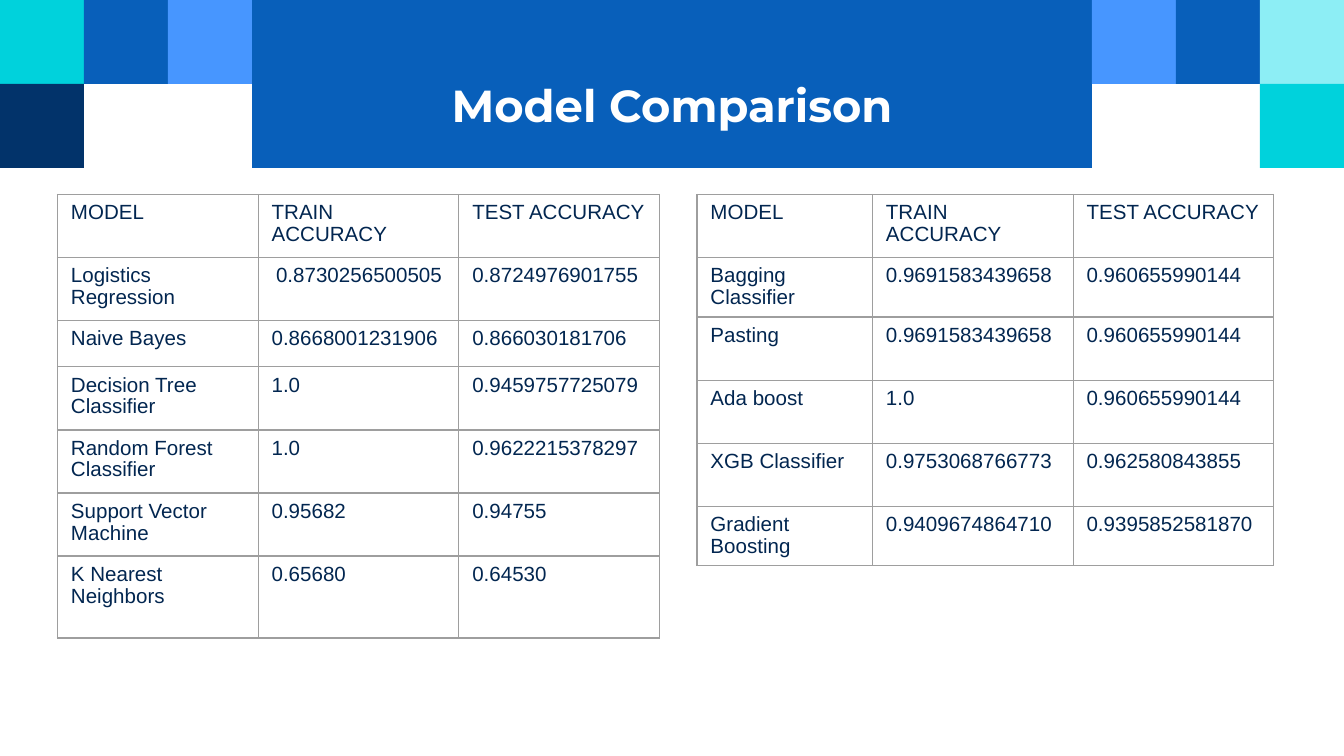
from lxml.etree import SubElement
from pptx import Presentation
from pptx.dml.color import RGBColor
from pptx.enum.shapes import MSO_SHAPE
from pptx.enum.text import MSO_ANCHOR, PP_ALIGN
from pptx.oxml.ns import qn
from pptx.util import Pt

SQUARE = 45
BLUE, LIGHT_BLUE, NAVY = "085FBA", "4796FF", "02336A"
TEAL, PALE_TEAL = "00D2DC", "8DEEF5"
WHITE, TEXT, BORDER = "FFFFFF", "022650", "9E9E9E"

SQUARES = [
    (0, 0, TEAL), (1, 0, BLUE), (2, 0, LIGHT_BLUE), (0, 1, NAVY),
    (13, 0, LIGHT_BLUE), (14, 0, BLUE), (15, 0, PALE_TEAL), (15, 1, TEAL),
]
HEADINGS = ("MODEL", "TRAIN ACCURACY", "TEST ACCURACY")
SINGLE_MODELS = [
    HEADINGS,
    ("Logistics Regression", "0.8730256500505", "0.8724976901755"),
    ("Naive Bayes", "0.8668001231906", "0.866030181706"),
    ("Decision Tree Classifier", "1.0", "0.9459757725079"),
    ("Random Forest Classifier", "1.0", "0.9622215378297"),
    ("Support Vector Machine", "0.95682", "0.94755"),
    ("K Nearest Neighbors", "0.65680", "0.64530"),
]
ENSEMBLE_MODELS = [
    HEADINGS,
    ("Bagging Classifier", "0.9691583439658", "0.960655990144"),
    ("Pasting", "0.9691583439658", "0.960655990144"),
    ("Ada boost", "1.0", "0.960655990144"),
    ("XGB Classifier", "0.9753068766773", "0.962580843855"),
    ("Gradient Boosting", "0.9409674864710", "0.9395852581870"),
]


def color(value):
    return RGBColor.from_string(value)


def fill(target, value):
    target.fill.solid()
    target.fill.fore_color.rgb = color(value)


def format_runs(paragraph, name, size, value, bold=False):
    for run in paragraph.runs:
        run.font.name = name
        run.font.size = Pt(size)
        run.font.bold = bold
        run.font.color.rgb = color(value)


def add_squares(slide, left, top, size):
    for column, row, value in SQUARES:
        shape = slide.shapes.add_shape(
            MSO_SHAPE.RECTANGLE, Pt(left + column * size), Pt(top + row * size),
            Pt(size), Pt(size))
        shape.shadow.inherit = False
        fill(shape, value)
        shape.line.fill.background()


def place_title(slide, text, left, top, width, height):
    title = slide.shapes.title
    title.left, title.top = Pt(left), Pt(top)
    title.width, title.height = Pt(width), Pt(height)
    fill(title, BLUE)
    frame = title.text_frame
    frame.text = text
    frame.vertical_anchor = MSO_ANCHOR.MIDDLE
    frame.margin_top, frame.margin_bottom = Pt(21.6), Pt(0)
    paragraph = frame.paragraphs[0]
    paragraph.alignment = PP_ALIGN.CENTER
    paragraph.space_before = Pt(1)
    format_runs(paragraph, "Montserrat", 24, WHITE, bold=True)


def set_borders(cell):
    properties = cell._tc.get_or_add_tcPr()
    for side in ("a:lnL", "a:lnR", "a:lnT", "a:lnB"):
        line = SubElement(properties, qn(side), w=str(Pt(0.75)))
        solid = SubElement(line, qn("a:solidFill"))
        SubElement(solid, qn("a:srgbClr"), val=BORDER)


def format_cell(cell, text):
    set_borders(cell)
    cell.fill.background()
    cell.margin_left, cell.margin_right = Pt(7.2), Pt(6.5)
    cell.margin_top, cell.margin_bottom = Pt(4.3), Pt(3.6)
    cell.text_frame.text = text
    paragraph = cell.text_frame.paragraphs[0]
    paragraph.line_spacing = 0.95
    format_runs(paragraph, "Arial", 11, TEXT)


def add_accuracy_table(slide, rows, left, top, widths, heights):
    table = slide.shapes.add_table(
        len(rows), len(widths), Pt(left), Pt(top),
        Pt(sum(widths)), Pt(sum(heights))).table
    table.first_row = table.horz_banding = False
    for column, width in zip(table.columns, widths):
        column.width = Pt(width)
    for row, height, texts in zip(table.rows, heights, rows):
        row.height = Pt(height)
        for cell, text in zip(row.cells, texts):
            format_cell(cell, text)
    return table


def main():
    presentation = Presentation()
    presentation.slide_width, presentation.slide_height = Pt(720), Pt(405)
    slide = presentation.slides.add_slide(presentation.slide_layouts[5])
    add_squares(slide, 0, 0, SQUARE)
    place_title(slide, "Model Comparison", 3 * SQUARE, 0, 10 * SQUARE, 2 * SQUARE)

    single_table = add_accuracy_table(
        slide, SINGLE_MODELS, 30.8, 104.2, [107.5] * 3,
        [33.8] * 2 + [24.8] + [33.8] * 3 + [43.9])
    single_table.cell(1, 1).text_frame.paragraphs[0].alignment = PP_ALIGN.CENTER
    add_accuracy_table(
        slide, ENSEMBLE_MODELS, 373.4, 104.2, [94, 107.5, 107.5],
        [33.8, 31.9] + [33.8] * 3 + [31.9])
    presentation.save("out.pptx")


if __name__ == "__main__":
    main()
